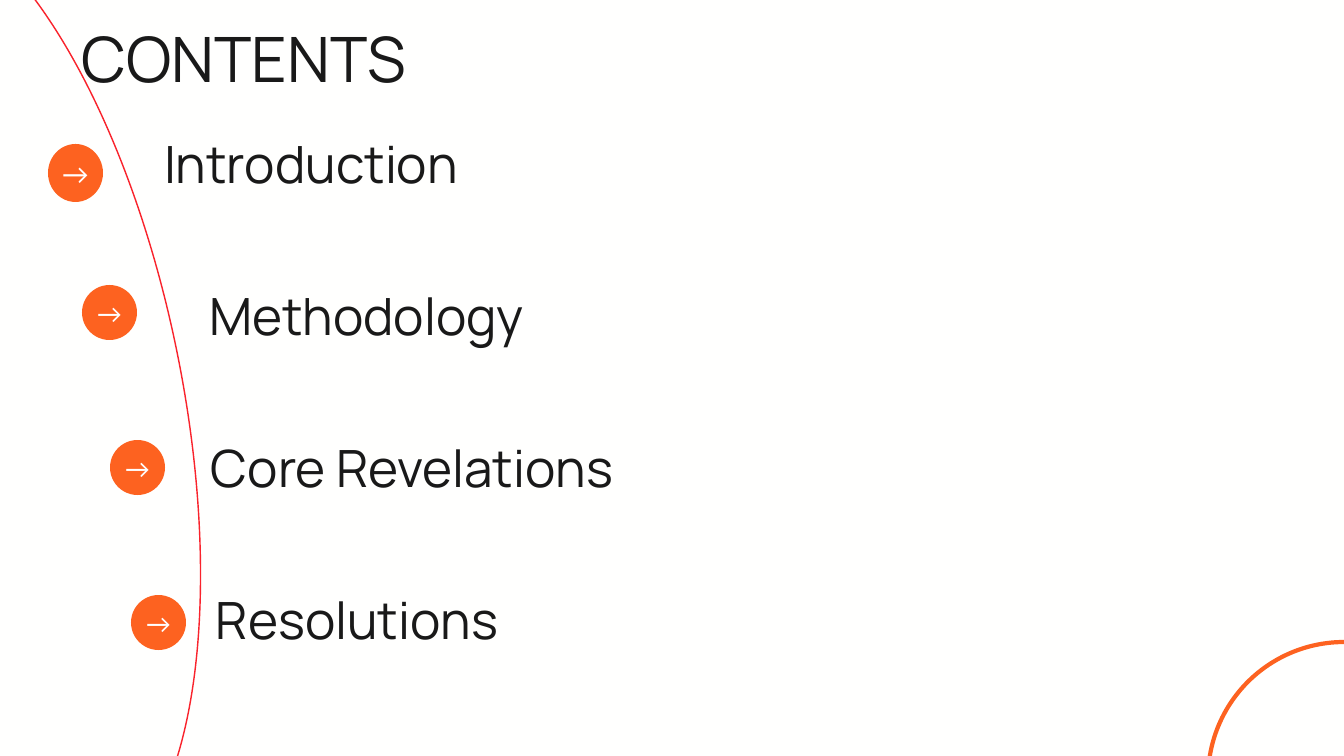
from lxml.etree import SubElement
from pptx import Presentation
from pptx.dml.color import RGBColor
from pptx.enum.shapes import MSO_SHAPE
from pptx.enum.text import MSO_ANCHOR, MSO_AUTO_SIZE, PP_ALIGN
from pptx.oxml.ns import qn
from pptx.util import Pt

EMU_PER_PX = 914400 / 67.2
PT_PER_PX = 72 / 67.2
COLORS = {"paper": "FFFFFE", "ink": "191919", "orange": "FD6220",
          "red": "F9232C", "arrow": "FFFEFE"}

TITLE = "CONTENTS"
# entry, text left, arrow disc (left, top, width, height), arrow size
ENTRIES = [
    ("Introduction", 164, (48, 144, 55, 58), 29),
    ("Methodology", 209, (82, 285, 55, 55), 27),
    ("Core Revelations", 211, (110, 440, 55, 55), 27),
    ("Resolutions", 216, (131, 595, 55, 55), 27),
]
LIST_LEFT, LIST_TOP, LIST_WIDTH, ENTRY_PITCH = 158, 122, 520, 152
ENTRY_LEADING = 77
# box, rotation, line colour, line width
RINGS = [
    ((-214, -101, 395, 985), 348.5, "red", 1.5),
    ((1208, 642, 272, 272), 0, "orange", 4.5),
]


def px(length):
    return round(length * EMU_PER_PX)


def color(name):
    return RGBColor.from_string(COLORS[name])


def place(shape, box):
    for side, length in zip(("left", "top", "width", "height"), box):
        setattr(shape, side, px(length))


def format_frame(frame, anchor, bottom=0):
    values = {"margin_left": 0, "margin_top": 0, "margin_right": 0,
              "margin_bottom": px(bottom), "word_wrap": True,
              "auto_size": MSO_AUTO_SIZE.NONE, "vertical_anchor": anchor}
    for name, value in values.items():
        setattr(frame, name, value)


def write(paragraph, text, font, size, ink, leading, align=PP_ALIGN.LEFT, after=0):
    run = paragraph.add_run()
    run.text = text
    for name, value in {"name": font, "size": Pt(size), "bold": False}.items():
        setattr(run.font, name, value)
    run.font.color.rgb = color(ink)
    spacing = {"alignment": align, "line_spacing": Pt(leading),
               "space_before": Pt(0), "space_after": Pt(after)}
    for name, value in spacing.items():
        setattr(paragraph, name, value)


def indent_without_bullet(paragraph, left):
    properties = paragraph._p.get_or_add_pPr()
    properties.set("marL", str(px(left)))
    properties.set("indent", "0")
    SubElement(properties, qn("a:buNone"))


def add_oval(slide, box):
    oval = slide.shapes.add_shape(MSO_SHAPE.OVAL, *map(px, box))
    oval.shadow.inherit = False
    return oval


def add_ring(slide, box, rotation, line_color, line_width):
    ring = add_oval(slide, box)
    ring.rotation = rotation
    ring.fill.background()
    ring.line.color.rgb = color(line_color)
    ring.line.width = Pt(line_width)


def add_arrow_disc(slide, box, size):
    disc = add_oval(slide, box)
    disc.fill.solid()
    disc.fill.fore_color.rgb = color("orange")
    disc.line.fill.background()
    format_frame(disc.text_frame, MSO_ANCHOR.MIDDLE, bottom=4)
    write(disc.text_frame.paragraphs[0], "→", "Lato", size, "arrow",
          size * 1.4, PP_ALIGN.CENTER)


def fill_title(title):
    place(title, (82, 7, 513, 84))
    format_frame(title.text_frame, MSO_ANCHOR.TOP)
    write(title.text_frame.paragraphs[0], TITLE, "Manrope", 67, "ink", 93.8)


def fill_list(body):
    place(body, (LIST_LEFT, LIST_TOP, LIST_WIDTH, ENTRY_PITCH * len(ENTRIES)))
    frame = body.text_frame
    format_frame(frame, MSO_ANCHOR.TOP)
    gap = round(ENTRY_PITCH * PT_PER_PX - ENTRY_LEADING, 2)
    for index, (entry, left, _, _) in enumerate(ENTRIES):
        paragraph = frame.add_paragraph() if index else frame.paragraphs[0]
        write(paragraph, entry, "Manrope", 55, "ink", ENTRY_LEADING, after=gap)
        indent_without_bullet(paragraph, left - LIST_LEFT)


def main():
    deck = Presentation()
    deck.slide_width, deck.slide_height = px(1344), px(756)
    slide = deck.slides.add_slide(deck.slide_layouts[1])
    slide.background.fill.solid()
    slide.background.fill.fore_color.rgb = color("paper")

    title, body = slide.placeholders
    fill_title(title)
    fill_list(body)
    for ring in RINGS:
        add_ring(slide, *ring)
    for _, _, box, size in ENTRIES:
        add_arrow_disc(slide, box, size)
    deck.save("out.pptx")


if __name__ == "__main__":
    main()
